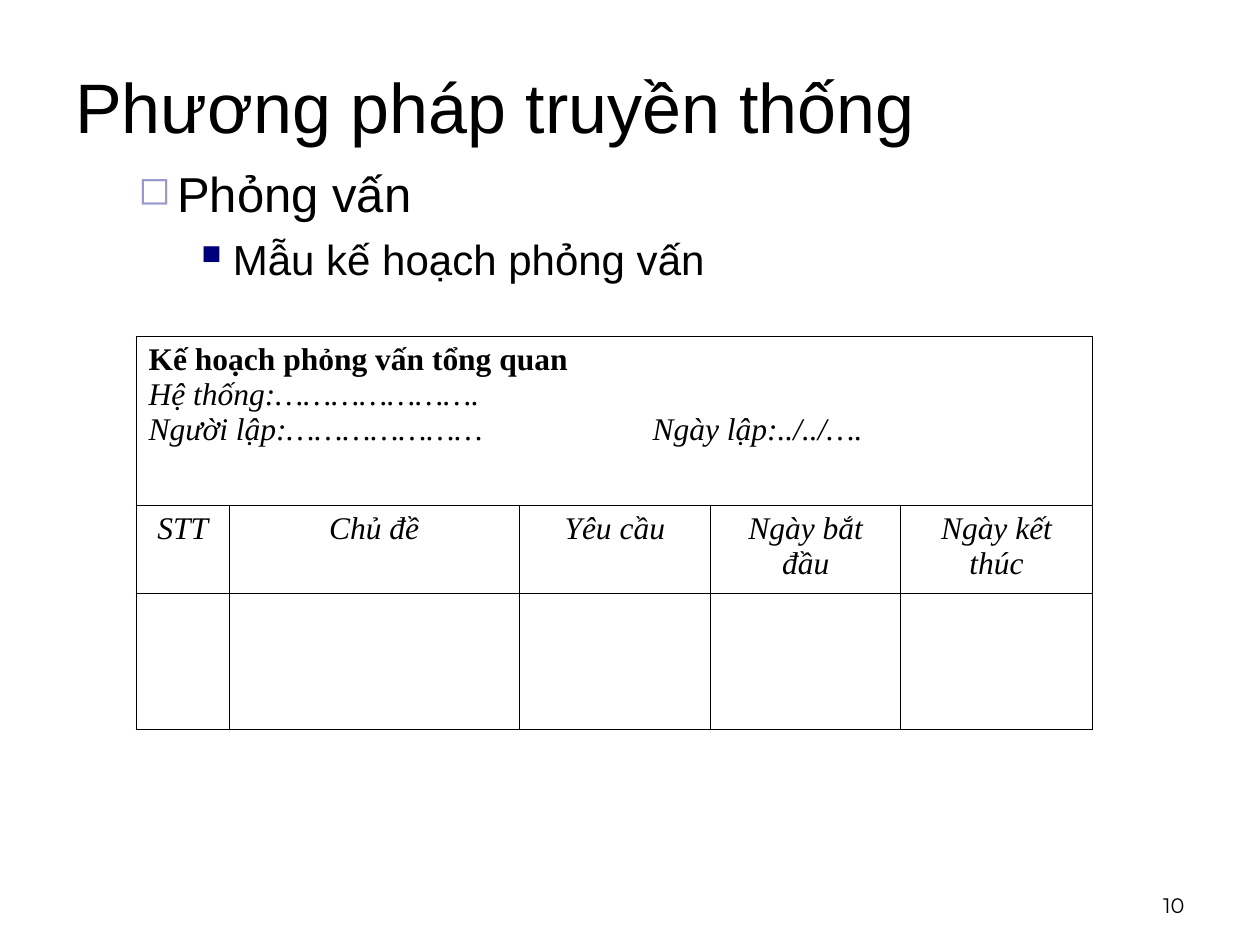
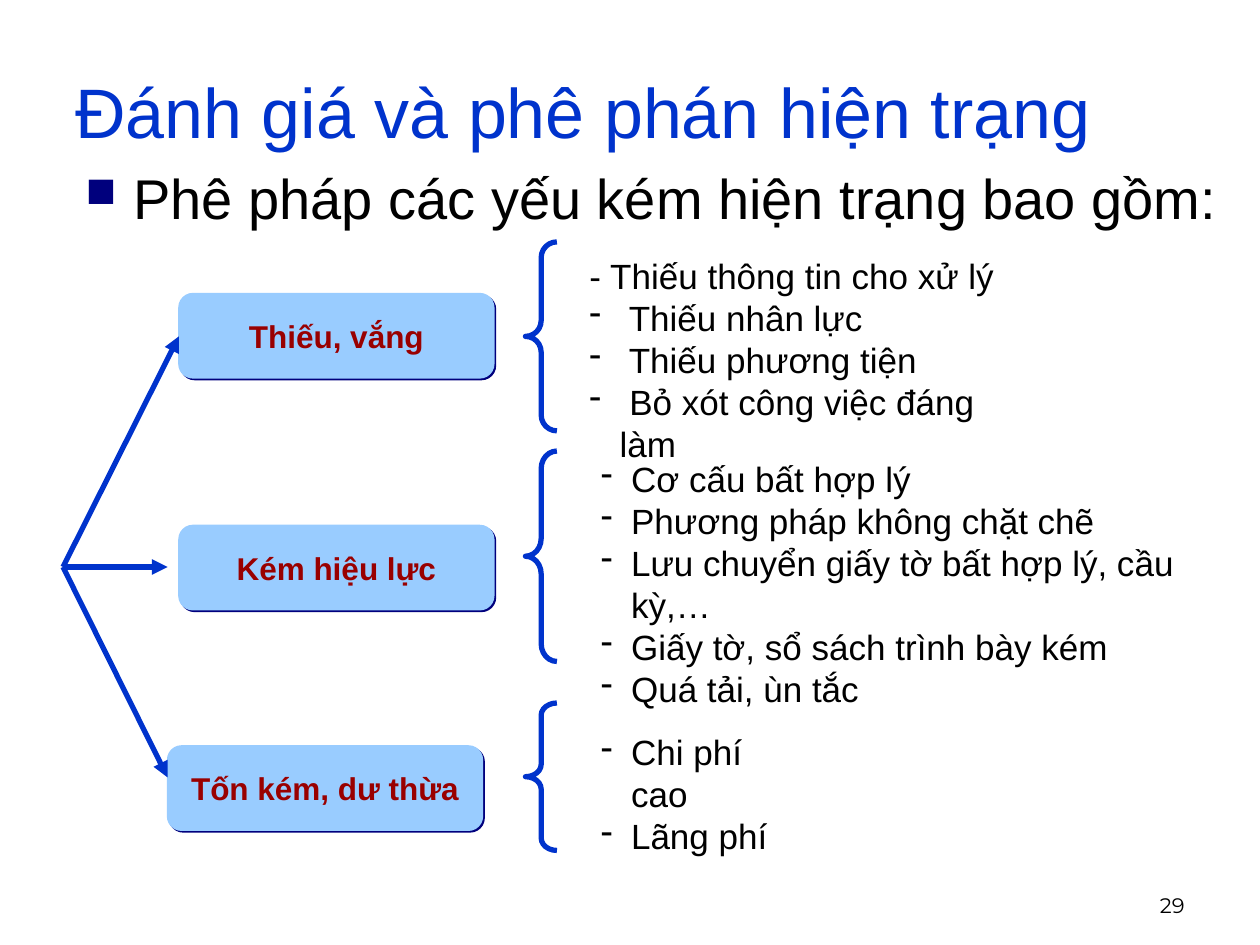
from dataclasses import dataclass

from lxml.etree import SubElement
from pptx import Presentation
from pptx.dml.color import RGBColor
from pptx.enum.shapes import MSO_CONNECTOR, MSO_SHAPE
from pptx.enum.text import MSO_ANCHOR, PP_ALIGN
from pptx.oxml.ns import qn
from pptx.util import Inches, Pt


@dataclass(frozen=True)
class Theme:
    black: str = "000000"
    blue: str = "0033CC"
    navy: str = "00007D"
    lavender: str = "9999CC"
    sky: str = "99CCFF"
    red: str = "990000"
    sans: str = "Arial"
    serif: str = "Times New Roman"
    number_font: str = "Montserrat"
    title_size: int = 40
    heading_size: int = 32
    topic_size: int = 28
    subtopic_size: int = 24
    list_size: int = 20
    label_size: int = 18
    number_size: int = 12
    stroke: float = 3
    border: float = 0.45


@dataclass(frozen=True)
class Bullet:
    char: str
    color: str
    percent: int
    left: float
    hanging: float


THEME = Theme()
TOPIC = Bullet("◻", THEME.lavender, 80, 0.81, 0.31)
SUBTOPIC = Bullet("■", THEME.navy, 65, 1.25, 0.25)
HEADING = Bullet("■", THEME.navy, 75, 0.38, 0.38)
DASH = Bullet("-", THEME.black, 100, 0.24, 0.24)


def child(parent, tag, **attributes):
    return SubElement(parent, qn(tag), {name: str(value) for name, value in attributes.items()})


def add_color(parent, color):
    child(child(parent, "a:solidFill"), "a:srgbClr", val=color)


class SlideBuilder:
    def __init__(self, theme):
        self.theme = theme
        self.presentation = Presentation()
        self.presentation.slide_width = Inches(10)
        self.presentation.slide_height = Inches(7.5)
        self.slide = None

    def new_slide(self, title, number, title_color, title_height):
        theme = self.theme
        self.slide = self.presentation.slides.add_slide(self.presentation.slide_layouts[6])
        frame = self.text_box(7.17, 6.83, 2.33, 0.5, MSO_ANCHOR.BOTTOM)
        self.set_text(frame.paragraphs[0], number, theme.number_size,
                      font=theme.number_font, align=PP_ALIGN.RIGHT)
        frame = self.text_box(0.5, 0.5, 9, title_height, MSO_ANCHOR.MIDDLE)
        self.set_text(frame.paragraphs[0], title, theme.title_size, title_color)

    def text_box(self, left, top, width, height, anchor=MSO_ANCHOR.TOP):
        shape = self.slide.shapes.add_textbox(
            Inches(left), Inches(top), Inches(width), Inches(height))
        frame = shape.text_frame
        frame.word_wrap = True
        frame.vertical_anchor = anchor
        return frame

    def set_text(self, paragraph, text, size, color=None, font=None, align=None,
                 bold=False, italic=False, bullet=None, tabs=()):
        paragraph.text = text
        properties = paragraph._p.get_or_add_pPr()
        if bullet:
            properties.set("marL", str(Inches(bullet.left)))
            properties.set("indent", str(-Inches(bullet.hanging)))
            child(child(properties, "a:buClr"), "a:srgbClr", val=bullet.color)
            child(properties, "a:buSzPct", val=bullet.percent * 1000)
            child(properties, "a:buChar", char=bullet.char)
        if tabs:
            tab_list = child(properties, "a:tabLst")
            for position in tabs:
                child(tab_list, "a:tab", pos=Inches(position), algn="l")
        if align is not None:
            paragraph.alignment = align
        paragraph.font.name = font or self.theme.sans
        paragraph.font.size = Pt(size)
        paragraph.font.bold = bold
        paragraph.font.italic = italic
        paragraph.font.color.rgb = RGBColor.from_string(color or self.theme.black)

    def bullets(self, left, top, width, height, items, space_before=0):
        frame = self.text_box(left, top, width, height)
        for index, (text, size, bullet) in enumerate(items):
            paragraph = frame.add_paragraph() if index else frame.paragraphs[0]
            self.set_text(paragraph, text, size, bullet=bullet)
            if index and space_before:
                paragraph.space_before = Pt(space_before)

    def stroke(self, shape):
        shape.line.color.rgb = RGBColor.from_string(self.theme.blue)
        shape.line.width = Pt(self.theme.stroke)

    def label_box(self, left, top, text):
        theme = self.theme
        shape = self.slide.shapes.add_shape(
            MSO_SHAPE.FLOWCHART_ALTERNATE_PROCESS,
            Inches(left), Inches(top), Inches(2.5), Inches(0.67))
        shape.fill.solid()
        shape.fill.fore_color.rgb = RGBColor.from_string(theme.sky)
        shape.line.color.rgb = RGBColor.from_string(theme.sky)
        shape.line.width = Pt(0.75)
        shape.shadow.inherit = False
        effects = shape._element.spPr.find(qn("a:effectLst"))
        shadow = child(effects, "a:outerShdw", blurRad=0, dist=Pt(1.4),
                       dir=45 * 60000, algn="ctr", rotWithShape=0)
        child(shadow, "a:srgbClr", val=theme.navy)
        shape.text_frame.word_wrap = True
        shape.text_frame.vertical_anchor = MSO_ANCHOR.MIDDLE
        self.set_text(shape.text_frame.paragraphs[0], text, theme.label_size, theme.red,
                      align=PP_ALIGN.CENTER, bold=True)

    def brace(self, top, height):
        width = 0.25
        shape = self.slide.shapes.add_shape(
            MSO_SHAPE.LEFT_BRACE, Inches(4.17), Inches(top), Inches(width), Inches(height))
        shape.adjustments[0] = height / 12 / width
        shape.fill.background()
        self.stroke(shape)
        shape.shadow.inherit = False

    def arrow(self, start, end):
        connector = self.slide.shapes.add_connector(
            MSO_CONNECTOR.STRAIGHT, *(Inches(value) for value in (*start, *end)))
        self.stroke(connector)
        properties = connector._element.spPr
        child(properties.find(qn("a:ln")), "a:tailEnd", type="triangle")
        child(properties, "a:effectLst")

    def table(self, left, top, widths, heights):
        table = self.slide.shapes.add_table(
            len(heights), len(widths), Inches(left), Inches(top),
            Inches(sum(widths)), Inches(sum(heights))).table
        table.first_row = False
        table.horz_banding = False
        for column, width in zip(table.columns, widths):
            column.width = Inches(width)
        for row, height in zip(table.rows, heights):
            row.height = Inches(height)
        for cell in table.iter_cells():
            properties = cell._tc.get_or_add_tcPr()
            for side in ("a:lnL", "a:lnR", "a:lnT", "a:lnB"):
                add_color(child(properties, side, w=Pt(self.theme.border)), self.theme.black)
            cell.fill.background()
        return table


def build_interview_plan(builder):
    theme = builder.theme
    builder.new_slide("Phương pháp truyền thống", "10", theme.black, 0.67)
    builder.bullets(0.5, 1.25, 9, 1.25, [
        ("Phỏng vấn", theme.topic_size, TOPIC),
        ("Mẫu kế hoạch phỏng vấn", theme.subtopic_size, SUBTOPIC),
    ], space_before=6)

    table = builder.table(1.08, 2.67, [0.74, 2.3, 1.52, 1.51, 1.52], [1.34, 0.7, 1.08])
    plan_cell = table.cell(0, 0)
    plan_cell.merge(table.cell(0, 4))
    plan_lines = [
        "Kế hoạch phỏng vấn tổng quan",
        "Hệ thống:………………….",
        "Người lập:…………………\t\tNgày lập:../../….",
    ]
    frame = plan_cell.text_frame
    for index, text in enumerate(plan_lines):
        paragraph = frame.add_paragraph() if index else frame.paragraphs[0]
        builder.set_text(paragraph, text, theme.label_size, font=theme.serif,
                         align=PP_ALIGN.JUSTIFY, bold=index == 0, italic=index > 0,
                         tabs=range(1, 8))
    headers = ["STT", "Chủ đề", "Yêu cầu", "Ngày bắt đầu", "Ngày kết thúc"]
    for column, text in enumerate(headers):
        builder.set_text(table.cell(1, column).text_frame.paragraphs[0], text, theme.label_size,
                         font=theme.serif, align=PP_ALIGN.CENTER, italic=True)


def build_weaknesses(builder):
    theme = builder.theme
    builder.new_slide("Đánh giá và phê phán hiện trạng", "29", theme.blue, 0.75)
    builder.bullets(0.58, 1.25, 9.25, 0.67, [
        ("Phê pháp các yếu kém hiện trạng bao gồm:", theme.heading_size, HEADING)])

    for left, top, text in [
        (1.42, 2.33, "Thiếu, vắng"),
        (1.42, 4.17, "Kém hiệu lực"),
        (1.33, 5.92, "Tốn kém, dư thừa"),
    ]:
        builder.label_box(left, top, text)

    for top, height in [(1.92, 1.5), (3.58, 1.67), (5.58, 1.17)]:
        builder.brace(top, height)

    weakness_lists = [
        ((4.58, 1.97, 3.63, 1.44), [
            ("- Thiếu thông tin cho xử lý", None),
            (" Thiếu nhân lực", DASH),
            (" Thiếu phương tiện", DASH),
            (" Bỏ xót công việc đáng làm", DASH),
        ]),
        ((4.67, 3.58, 5.33, 1.77), [
            ("Cơ cấu bất hợp lý", DASH),
            ("Phương pháp không chặt chẽ", DASH),
            ("Lưu chuyển giấy tờ bất hợp lý, cầu kỳ,…", DASH),
            ("Giấy tờ, sổ sách trình bày kém", DASH),
            ("Quá tải, ùn tắc", DASH),
        ]),
        ((4.67, 5.75, 1.7, 0.77), [
            ("Chi phí cao", DASH),
            ("Lãng phí", DASH),
        ]),
    ]
    for bounds, items in weakness_lists:
        builder.bullets(*bounds, [(text, theme.list_size, bullet) for text, bullet in items])

    for end in [(1.33, 6.17), (1.33, 4.5), (1.42, 2.67)]:
        builder.arrow((0.5, 4.5), end)


def main():
    builder = SlideBuilder(THEME)
    build_interview_plan(builder)
    build_weaknesses(builder)
    builder.presentation.save("out.pptx")


if __name__ == "__main__":
    main()
